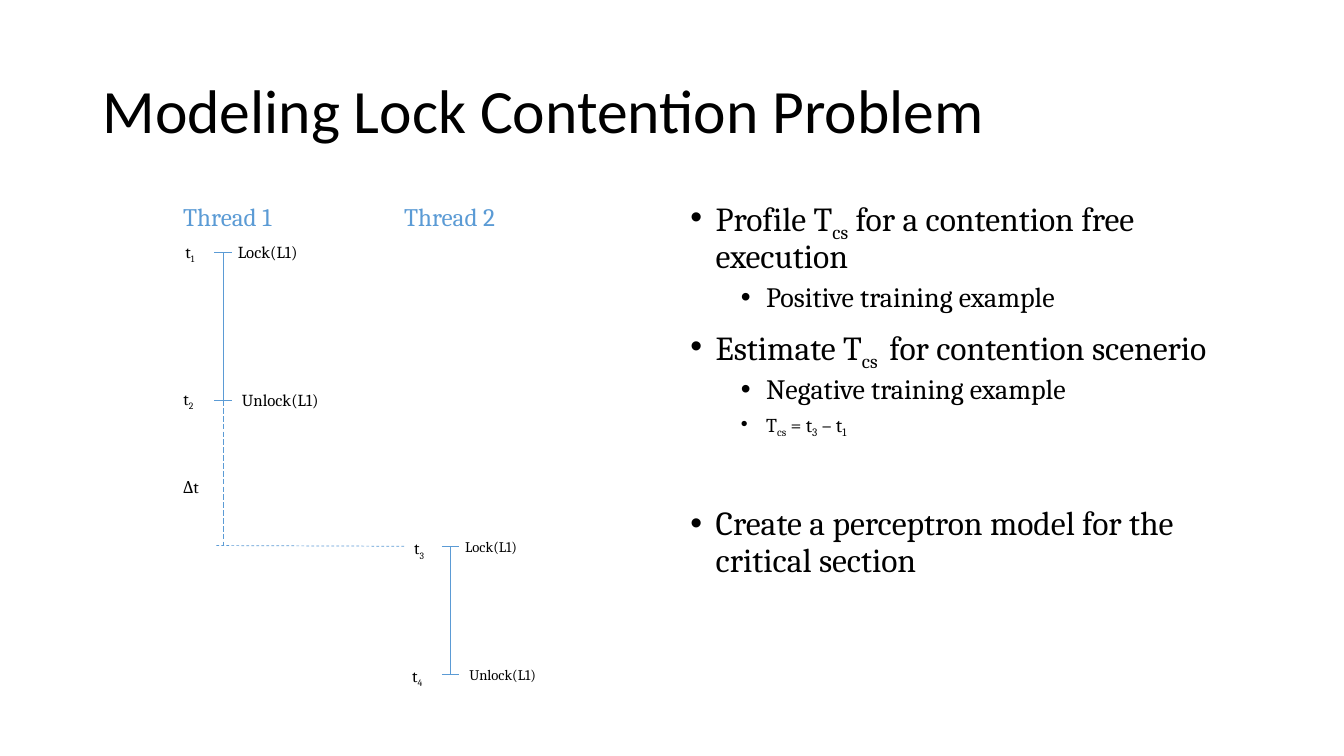
from dataclasses import dataclass

from lxml.etree import SubElement
from pptx import Presentation
from pptx.dml.color import RGBColor
from pptx.enum.dml import MSO_LINE
from pptx.enum.shapes import MSO_CONNECTOR
from pptx.enum.text import MSO_ANCHOR, MSO_AUTO_SIZE, PP_ALIGN
from pptx.oxml.ns import qn
from pptx.util import Pt

COLORS = {"text": "000000", "accent": "5B9BD5"}
TICK_HALF = 6.1


@dataclass
class Thread:
    name: str
    name_left: float
    axis: float
    lock_top: float
    unlock_top: float
    lock_time: str
    unlock_time: str
    time_offset: float
    label_rise: float
    label_size: float


@dataclass
class Bullet:
    text: str
    level: int
    size: float
    space_before: float


# Subscripts stand between bars
THREADS = [
    Thread("Thread 1", 123.8, 159.3, 180, 285.8, "t|1", "t|2", 34, 10.8, 12),
    Thread("Thread 2", 281.5, 321.7, 390.2, 481.7, "t|3", "t|4", 33, 9.3, 10.5),
]
BULLETS = [
    Bullet("Profile T|cs| for a contention free execution", 0, 24, 10),
    Bullet("Positive training example", 1, 20, 5),
    Bullet("Estimate T|cs | for contention scenerio", 0, 24, 10),
    Bullet("Negative training example", 1, 20, 5),
    Bullet("T|cs| = t|3| – t|1", 1, 14, 5),
    Bullet("Create a perceptron model for the critical section", 0, 24, 50),
]


def color(name: str) -> RGBColor:
    return RGBColor.from_string(COLORS[name])


def place(shape, left: float, top: float, width: float, height: float) -> None:
    shape.left, shape.top = Pt(left), Pt(top)
    shape.width, shape.height = Pt(width), Pt(height)


def write(paragraph, text: str, size: float, font: str = "Cambria",
          color_name: str = "text") -> None:
    for index, part in enumerate(text.split("|")):
        run = paragraph.add_run()
        run.text = part
        if index % 2:
            run._r.get_or_add_rPr().set("baseline", "-25000")
    paragraph.font.size = Pt(size)
    paragraph.font.name = font
    paragraph.font.color.rgb = color(color_name)


def add_label(slide, text: str, left: float, top: float, width: float,
              size: float, color_name: str = "text") -> None:
    box = slide.shapes.add_textbox(Pt(left), Pt(top), Pt(width), Pt(size * 1.8))
    box.text_frame.word_wrap = True
    write(box.text_frame.paragraphs[0], text, size, color_name=color_name)


def add_line(slide, x1: float, y1: float, x2: float, y2: float,
             dash: MSO_LINE | None = None) -> None:
    connector = slide.shapes.add_connector(
        MSO_CONNECTOR.STRAIGHT, Pt(x1), Pt(y1), Pt(x2), Pt(y2))
    connector.line.color.rgb = color("accent")
    connector.line.width = Pt(0.5)
    if dash is not None:
        connector.line.dash_style = dash
    SubElement(connector._element.spPr, qn("a:effectLst"))


def add_thread(slide, thread: Thread) -> None:
    add_label(slide, thread.name, thread.name_left, 140.4, 90, 18, "accent")
    add_line(slide, thread.axis, thread.lock_top, thread.axis, thread.unlock_top)
    events = [("Lock(L1)", thread.lock_time, thread.lock_top, 0),
              ("Unlock(L1)", thread.unlock_time, thread.unlock_top, 1)]
    for action, time, y, step in events:
        add_line(slide, thread.axis - TICK_HALF, y, thread.axis + TICK_HALF, y)
        add_label(slide, action, thread.axis + 3.5 + 2.9 * step,
                  y - thread.label_rise, 85, thread.label_size)
        add_label(slide, time, thread.axis - thread.time_offset - 1.4 * step,
                  y - thread.label_rise - 0.7 * step, 28, 12)


def add_bullet(paragraph, bullet: Bullet) -> None:
    paragraph.level = bullet.level
    paragraph.line_spacing = 0.9
    paragraph.space_before = Pt(bullet.space_before)
    paragraph.space_after = Pt(0)
    write(paragraph, bullet.text, bullet.size)
    properties = paragraph._p.get_or_add_pPr()
    properties.set("marL", str(Pt(18 + 36 * bullet.level)))
    properties.set("indent", str(Pt(-18)))
    font = properties.find(qn("a:defRPr"))
    for tag, name, value in [("a:buFont", "typeface", "Arial"),
                             ("a:buChar", "char", "•")]:
        mark = SubElement(properties, qn(tag))
        mark.set(name, value)
        font.addprevious(mark)


presentation = Presentation()
presentation.slide_width, presentation.slide_height = Pt(960), Pt(540)
slide = presentation.slides.add_slide(presentation.slide_layouts[1])

# Title
title = slide.shapes.title
place(title, 66, 28.8, 828, 104.4)
title.text_frame.vertical_anchor = MSO_ANCHOR.MIDDLE
title.text_frame.auto_size = MSO_AUTO_SIZE.NONE
heading = title.text_frame.paragraphs[0]
heading.alignment = PP_ALIGN.LEFT
heading.line_spacing = 0.9
write(heading, "Modeling Lock Contention Problem", 44, "Calibri")

# Thread timelines
for thread in THREADS:
    add_thread(slide, thread)

# Waiting time between the threads
first, second = THREADS
add_line(slide, first.axis, first.unlock_top, first.axis, second.lock_top,
         MSO_LINE.LONG_DASH)
add_line(slide, 288.7, second.lock_top, first.axis - TICK_HALF,
         second.lock_top - 0.5, MSO_LINE.DASH)
add_label(slide, "Δt", 123.8, 337, 32, 12)

# Bullet list
body = slide.placeholders[1]
place(body, 486, 138.2, 408, 342.7)
body.text_frame.auto_size = MSO_AUTO_SIZE.NONE
for index, bullet in enumerate(BULLETS):
    frame = body.text_frame
    add_bullet(frame.add_paragraph() if index else frame.paragraphs[0], bullet)

presentation.save("out.pptx")
